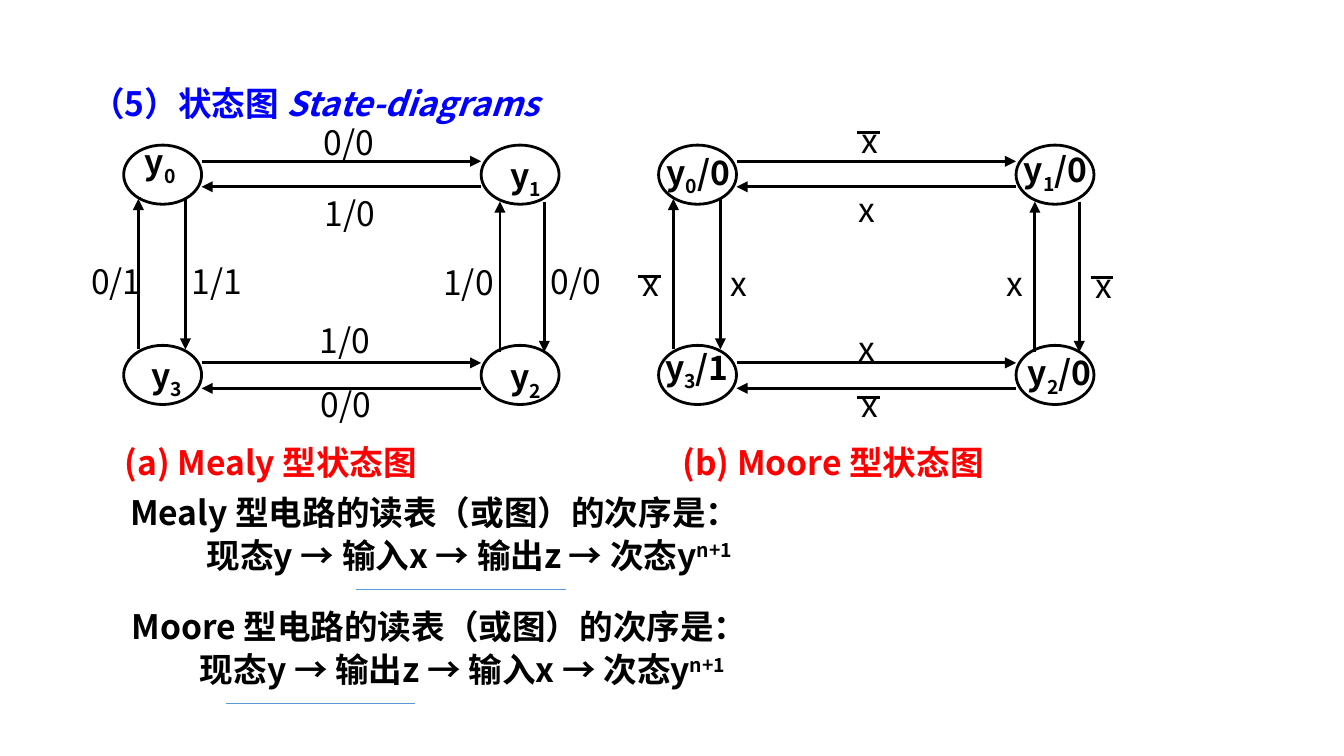
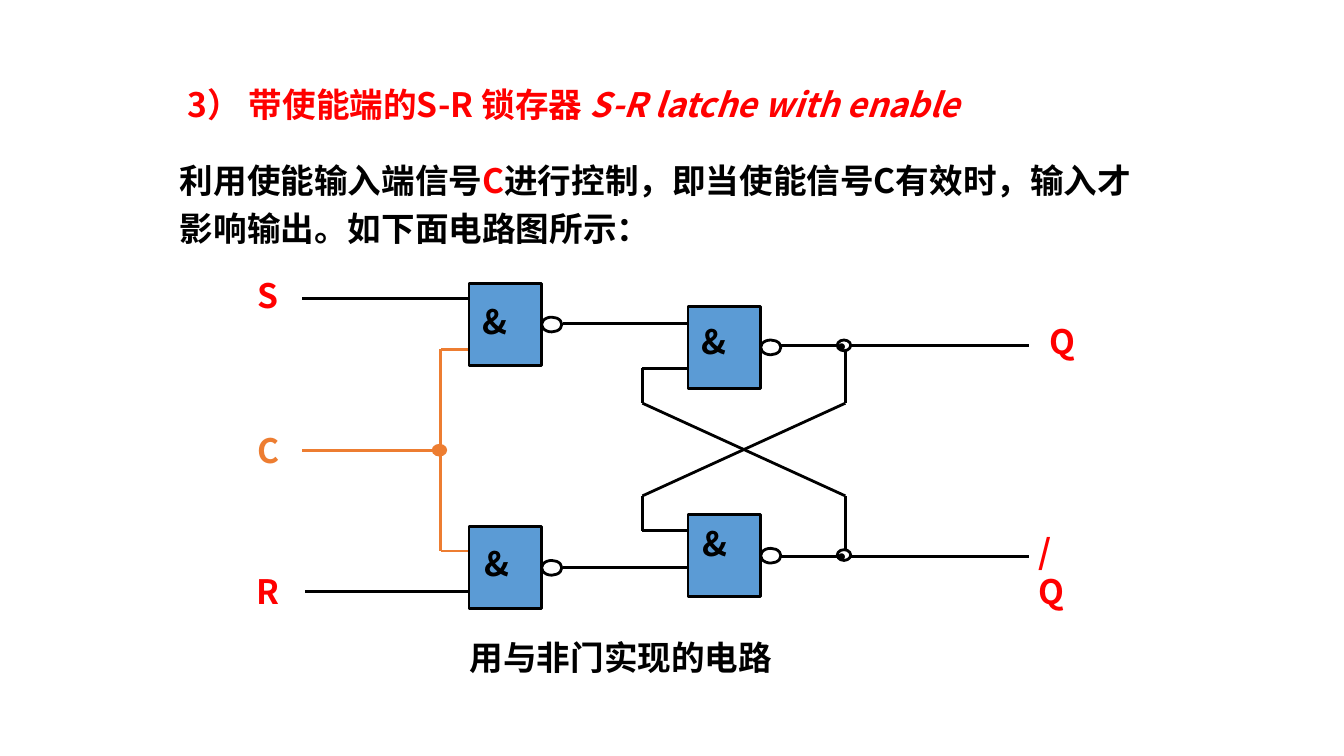
from itertools import pairwise

from lxml import etree
from pptx import Presentation
from pptx import util as u
from pptx.dml.color import RGBColor
from pptx.enum import shapes, text
from pptx.oxml.ns import qn

W, H = u.Inches(10), u.Inches(5.625)
CELL = W / 100
BLACK, WHITE, RED, BLUE = "000000", "FFFFFF", "FF0000", "0000FF"
ORANGE, STEEL = "ED7D31", "5B9BD5"
JP, SC = "Noto Sans CJK JP", "Noto Sans CJK SC"
BASE = {"name": SC, "size": u.Pt(18), "bold": False, "italic": False}
BOLD = {"bold": True}
HEADING = {"name": JP, "bold": True}
SUB, SUP = {"baseline": -25}, {"baseline": 30}


def rgb(hex_color):
    return RGBColor.from_string(hex_color)


def add_run(p, words, fmt):
    fmt = BASE | fmt
    color = fmt.pop("color", BLACK)
    baseline = fmt.pop("baseline", 0)
    r = p.add_run()
    r.text = words
    for key, value in fmt.items():
        setattr(r.font, key, value)
    r.font.color.rgb = rgb(color)
    rPr = r._r.get_or_add_rPr()
    etree.SubElement(rPr, qn("a:ea")).set("typeface", fmt["name"])
    if baseline:
        rPr.set("baseline", str(baseline * 1000))


class Region:
    def __init__(self, s, col, row):
        self.s, self.col, self.row = s, col, row

    def point(self, x, y):
        return round((self.col + x) * CELL), round((self.row + y) * CELL)

    def frame(self, x, y, w, h):
        return *self.point(x, y), round(w * CELL), round(h * CELL)

    def add_text(self, box, paragraphs, fmt={}, indents=(), **layout):
        tf = self.s.shapes.add_textbox(*self.frame(*box)).text_frame
        tf.word_wrap = True
        for i, runs in enumerate(paragraphs):
            p = tf.paragraphs[0] if i == 0 else tf.add_paragraph()
            for key, value in layout.items():
                setattr(p, key, value)
            if i:
                p.space_before = u.Pt(5.4)
            if i < len(indents):
                p._p.get_or_add_pPr().set("marL", str(round(indents[i] * CELL)))
            for words, extra in runs:
                add_run(p, words, fmt | extra)

    def label(self, words, x, y, w=8.3, h=4, **fmt):
        self.add_text((x, y, w, h), [[(words, fmt)]])

    def shape(self, kind, box, fill=None, line=BLACK, width=1.5):
        sp = self.s.shapes.add_shape(kind, *self.frame(*box))
        sp.shadow.inherit = False
        if fill:
            sp.fill.solid()
            sp.fill.fore_color.rgb = rgb(fill)
        else:
            sp.fill.background()
        sp.line.color.rgb = rgb(line)
        sp.line.width = u.Pt(width)

    def ellipse(self, box, *style):
        self.shape(shapes.MSO_SHAPE.OVAL, box, *style)

    def line(self, start, end, color=BLACK, width=1.5, arrow=False):
        cx = self.s.shapes.add_connector(
            shapes.MSO_CONNECTOR.STRAIGHT, *self.point(*start), *self.point(*end))
        cx.line.color.rgb = rgb(color)
        cx.line.width = u.Pt(width)
        spPr = cx._element.spPr
        if arrow:
            etree.SubElement(spPr.find(qn("a:ln")), qn("a:tailEnd")).set("type", "triangle")
        etree.SubElement(spPr, qn("a:effectLst"))

    def wire(self, points, color=BLACK):
        for start, end in pairwise(points):
            self.line(start, end, color)


def title(s, box, words, english, color):
    col, row, w, h = box
    Region(s, col, row).add_text(
        (0, 0, w, h), [[(words, {}), (english, {"italic": True})]],
        HEADING | {"color": color}, line_spacing=0.9)


def state_diagram(s, col, row, states, edges, caption, caption_x):
    g = Region(s, col, row)
    for x in (0, 26.6):
        for y in (0.8, 15.7):
            g.ellipse((x, y, 5.8, 4.4), WHITE)
    for y in (2, 17):
        g.line((5.8, y), (26.6, y), arrow=True)
        g.line((26.6, y + 1.9), (5.8, y + 1.9), arrow=True)
    for up, down, top in ((1.1, 4.6, 4.8), (28, 31.3, 5)):
        g.line((up, top + 11.2), (up, top), arrow=True)
        g.line((down, top), (down, top + 11.2), arrow=True)
    for i, (output, x, y) in enumerate(states):
        runs = [("y", {}), (str(i), SUB)]
        if output:
            runs.append((output, {}))
        g.add_text((x, y, 7.8, 3.8), [runs], BOLD)
    for words, x, y, barred in edges:
        g.label(words, x, y)
        if barred:
            g.line((x + 0.65, y + 1.45), (x + 2.35, y + 1.45))
    g.label(caption, caption_x, 22.4, 33, **HEADING, color=RED)


def reading_order(s, col, row, model, steps, indent, underline):
    g = Region(s, col, row)
    g.add_text((0, 0, 77, 7.3),
               [[(f"{model} 型电路的读表（或图）的次序是：", {})],
                [(" → ".join(steps), {}), ("n+1", SUP)]],
               HEADING, (0, indent), line_spacing=0.8)
    start, end = underline
    g.line((start, 7.15), (end, 7.15), STEEL, 0.5)


def gate(g, x, y, label_x, label_y):
    g.shape(shapes.MSO_SHAPE.RECTANGLE, (x, y, 5.4, 6.1), STEEL)
    g.ellipse((x + 5.4, y + 2.5, 1.5, 1.1))
    g.label("&", x + label_x, y + label_y, 3.3, **BOLD)


def latch_circuit(s, col, row):
    g = Region(s, col, row)
    left, right, output = 29.8, 44.9, 58.6
    for points in (
        [(33.4, 7.4), (left, 7.4), (left, 10), (right, 16.9), (right, 21.3)],
        [(33.4, 19.5), (left, 19.5), (left, 16.9), (right, 10), (right, 5.6)],
        [(40, 5.7), (output, 5.7)],
        [(40, 21.4), (output, 21.4)],
        [(23.9, 4.1), (33.6, 4.1)],
        [(23.9, 22.2), (33.6, 22.2)],
        [(4.5, 2.2), (16.9, 2.2)],
        [(4.7, 24), (17, 24)],
    ):
        g.wire(points)
    g.wire([(16.9, 6), (14.8, 6), (14.8, 21), (16.9, 21)], ORANGE)
    g.wire([(14.8, 13.5), (4.5, 13.5)], ORANGE)
    g.ellipse((14.2, 13.1, 1, 0.8), ORANGE, ORANGE, 1)
    for x, y, label_x, label_y in ((16.9, 1.1, 0, 0.8), (16.9, 19.2, 0.2, 0.7),
                                   (33.2, 2.8, 0, 0.6), (33.2, 18.3, 0.1, 0.1)):
        gate(g, x, y, label_x, label_y)
    for y in (5.3, 20.9):
        g.ellipse((44.3, y, 1, 0.8), WHITE)
        g.label("●", 43.3, y - 0.75, 3.1, 2.3, name="Calibri", size=u.Pt(8))
    for words, x, y, w, color in (
        ("S", 0.2, 0, 3.3, RED), ("C", 0.2, 11.5, 3.3, ORANGE), ("R", 0.1, 22, 3.3, RED),
        ("Q", 59.1, 3.4, 3.3, RED), ("/Q", 58.3, 19, 4.5, RED),
    ):
        g.label(words, x, y, w, **BOLD, color=color)
    g.add_text((8.4, 26.9, 32.4, 4), [[("用与非门实现的电路", {})]], HEADING, (7.2,),
               alignment=text.PP_ALIGN.CENTER)


def state_slide(s):
    title(s, (5.8, 6, 52.5, 6.2), "（5）状态图 ", "State-diagrams", BLUE)
    state_diagram(
        s, 9.2, 10,
        [("", 0.6, 0), ("", 27.8, 1), ("", 27.8, 16), ("", 1.1, 15.9)],
        [("0/0", 13.9, -1.4, False), ("1/0", 14, 3.9, False),
         ("0/0", 30.8, 8.9, False), ("0/0", 13.7, 18.1, False),
         ("0/1", -3.4, 8.9, False), ("1/0", 22.8, 9, False),
         ("1/0", 13.6, 13.3, False), ("1/1", 4.1, 8.9, False)],
        "(a) Mealy 型状态图", -0.9)
    state_diagram(
        s, 49, 10,
        [("/0", -0.4, 0.8), ("/0", 26.2, 0.6), ("/0", 26.5, 15.7), ("/1", -0.5, 15.3)],
        [("x", 13.9, 3.6, False), ("x", 14.1, -1.6, True),
         ("x", 31.5, 9.2, True), ("x", 14.1, 18.1, True),
         ("x", -2.2, 9.1, True), ("x", 13.9, 13.9, False),
         ("x", 24.9, 9.1, False), ("x", 4.4, 9.1, False)],
        "(b) Moore 型状态图", 0.8)
    reading_order(s, 8.7, 36.7, "Mealy", ("现态y", "输入x", "输出z", "次态y"),
                  5.7, (17.8, 33.4))
    reading_order(s, 8.8, 45.2, "Moore", ("现态y", "输出z", "输入x", "次态y"),
                  5.1, (8, 22.1))


def latch_slide(s):
    title(s, (13, 6.1, 78, 6.9), "3） 带使能端的S-R 锁存器 ", "S-R latche with enable", RED)
    Region(s, 12.4, 10.8).add_text(
        (0, 0, 75, 8.3),
        [[("利用使能输入端信号", {}), ("C", {"color": RED}),
          ("进行控制，即当使能信号C有效时，输入才影响输出。如下面电路图所示：", {})]],
        HEADING, line_spacing=1.2)
    latch_circuit(s, 18, 20)


def main():
    prs = Presentation()
    prs.slide_width, prs.slide_height = W, H
    for build in (state_slide, latch_slide):
        s = prs.slides.add_slide(prs.slide_layouts[6])
        s.background.fill.solid()
        s.background.fill.fore_color.rgb = rgb(WHITE)
        build(s)
    prs.save("out.pptx")


if __name__ == "__main__":
    main()
